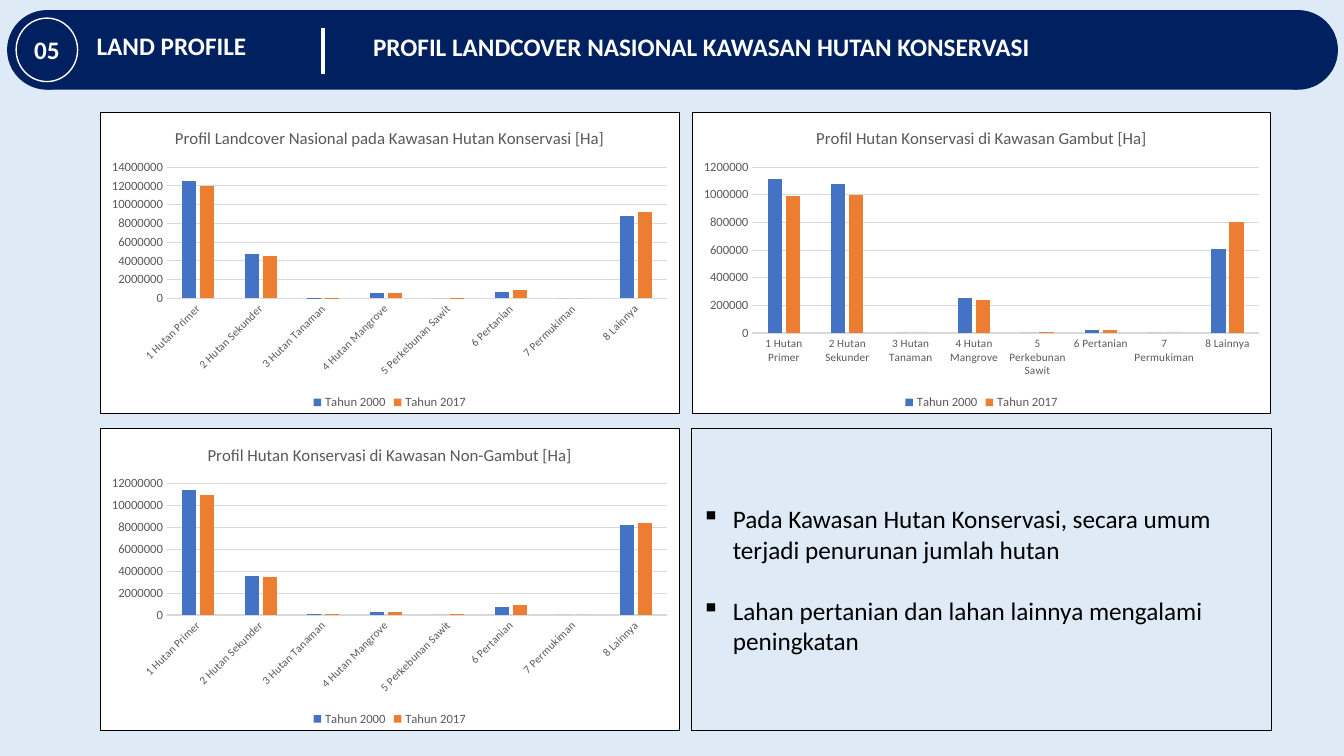
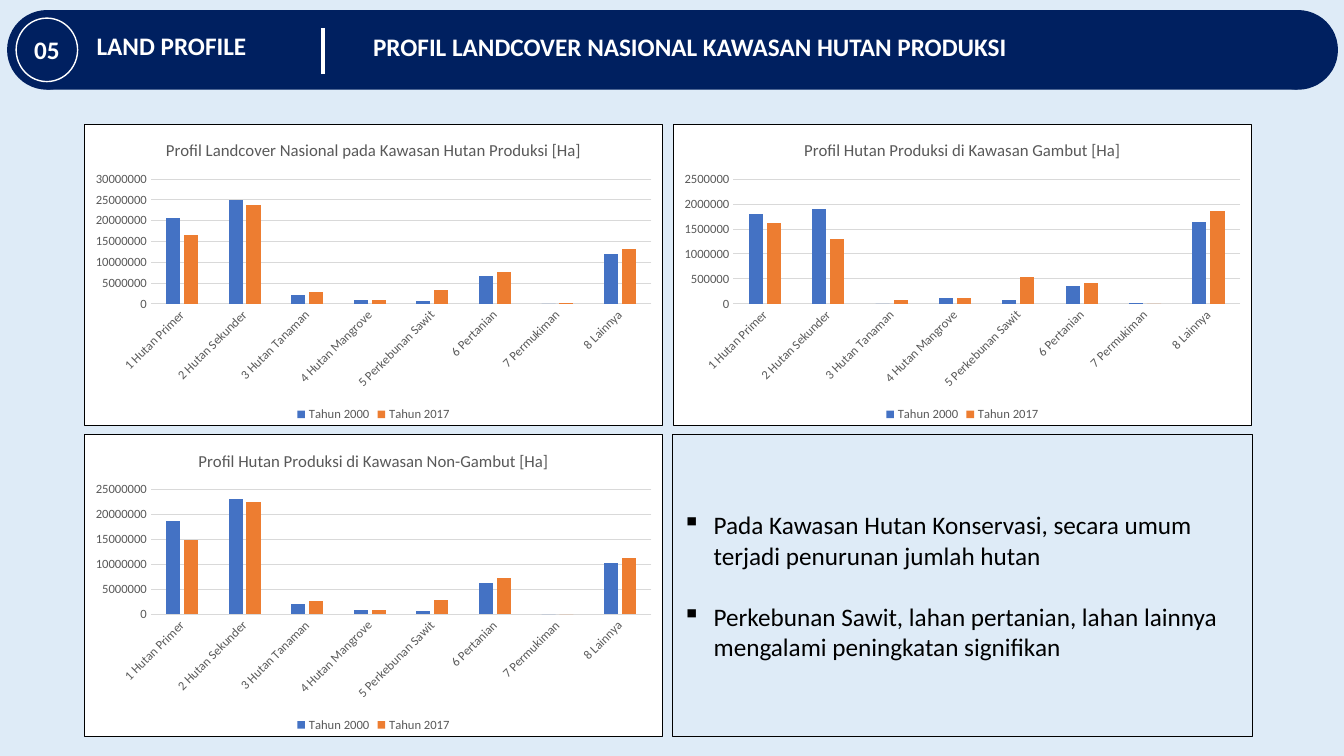
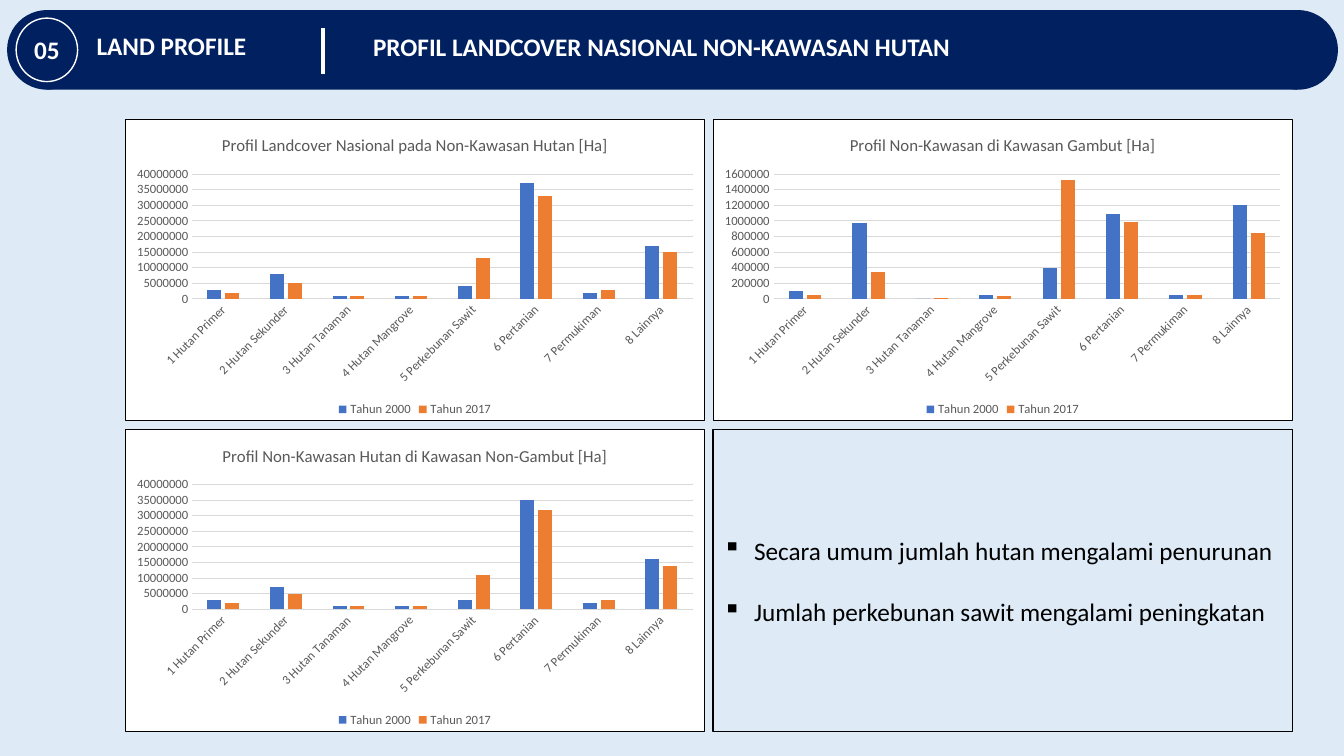
"""Build three land profile slides, each with three column charts and a note."""
from dataclasses import dataclass

from pptx import Presentation, oxml, slide as sl, util as u
from pptx.chart import chart as ch, data
from pptx.dml import color, line as ln
from pptx.enum import chart as kinds, shapes, text
from pptx.oxml import ns
from pptx.text import text as tx

RGB = color.RGBColor.from_string
NAMES = (
    "1 Hutan Primer", "2 Hutan Sekunder", "3 Hutan Tanaman", "4 Hutan Mangrove",
    "5 Perkebunan Sawit", "6 Pertanian", "7 Permukiman", "8 Lainnya",
)
YEARS = ("Tahun 2000", "Tahun 2017")
WIDE, HIGH = 5.75, 3


@dataclass(frozen=True)
class Theme:
    font: str = "Calibri"
    back: str = "DEEBF7"
    navy: str = "002060"
    white: str = "FFFFFF"
    black: str = "000000"
    gray: str = "595959"
    grid: str = "D9D9D9"
    bars: tuple[str, str] = ("4472C4", "ED7D31")
    head: float = 18
    title: float = 12
    base: float = 10
    small: float = 9
    gap: float = 22


@dataclass(frozen=True)
class Plot:
    title: str
    unit: int
    top: int
    step: int
    old: tuple[int, ...]
    new: tuple[int, ...]
    turn: int = -45


@dataclass(frozen=True)
class Page:
    title: str
    wide: float
    left: float
    top: float
    gaps: tuple[float, float]
    size: float
    plots: tuple[Plot, Plot, Plot]
    notes: tuple[str, str]


@dataclass(frozen=True)
class Part:
    kind: shapes.MSO_SHAPE
    box: tuple[float, float, float, float]
    ring: bool = False


T = Theme()
BAND = (
    Part(shapes.MSO_SHAPE.RECTANGLE, (0.46, 0.1, 12.41, 0.79)),
    Part(shapes.MSO_SHAPE.OVAL, (0.07, 0.1, 0.79, 0.79)),
    Part(shapes.MSO_SHAPE.OVAL, (12.48, 0.1, 0.79, 0.79)),
    Part(shapes.MSO_SHAPE.OVAL, (0.16, 0.18, 0.61, 0.63), True),
)
PAGES = (
    Page(
        "PROFIL LANDCOVER NASIONAL KAWASAN HUTAN KONSERVASI", 6.78,
        0.99, 1.11, (0.12, 0.14), 8,
        (
            Plot("Profil Landcover Nasional pada Kawasan Hutan Konservasi [Ha]",
                 100000, 140, 20,
                 (125, 47, 1, 6, 0, 7, 0, 88), (120, 45, 1, 6, 1, 9, 0, 92)),
            Plot("Profil Hutan Konservasi di Kawasan Gambut [Ha]",
                 10000, 120, 20,
                 (111, 108, 0, 25, 0, 2, 0, 61), (99, 100, 0, 24, 1, 2, 0, 80), 0),
            Plot("Profil Hutan Konservasi di Kawasan Non-Gambut [Ha]",
                 100000, 120, 20,
                 (114, 36, 1, 3, 0, 7, 0, 82), (110, 35, 1, 3, 1, 9, 0, 84)),
        ),
        ("Pada Kawasan Hutan Konservasi, secara umum terjadi penurunan jumlah hutan",
         "Lahan pertanian dan lahan lainnya mengalami peningkatan"),
    ),
    Page(
        "PROFIL LANDCOVER NASIONAL KAWASAN HUTAN PRODUKSI", 6.55,
        0.83, 1.23, (0.09, 0.08), 9,
        (
            Plot("Profil Landcover Nasional pada Kawasan Hutan Produksi [Ha]",
                 100000, 300, 50,
                 (206, 250, 21, 10, 7, 66, 0, 120),
                 (165, 238, 28, 9, 34, 77, 1, 131)),
            Plot("Profil Hutan Produksi di Kawasan Gambut [Ha]",
                 10000, 250, 50,
                 (181, 191, 0, 12, 8, 36, 1, 165),
                 (163, 130, 8, 11, 54, 41, 0, 186)),
            Plot("Profil Hutan Produksi di Kawasan Non-Gambut [Ha]",
                 100000, 250, 50,
                 (188, 231, 21, 9, 6, 63, 0, 103),
                 (149, 225, 27, 8, 29, 73, 0, 112)),
        ),
        ("Pada Kawasan Hutan Konservasi, secara umum terjadi penurunan jumlah hutan",
         "Perkebunan Sawit, lahan pertanian, lahan lainnya mengalami "
         "peningkatan signifikan"),
    ),
    Page(
        "PROFIL LANDCOVER NASIONAL NON-KAWASAN HUTAN", 5.98,
        1.24, 1.18, (0.08, 0.08), 9,
        (
            Plot("Profil Landcover Nasional pada Non-Kawasan Hutan [Ha]",
                 1000000, 40, 5,
                 (3, 8, 1, 1, 4, 37, 2, 17), (2, 5, 1, 1, 13, 33, 3, 15)),
            Plot("Profil Non-Kawasan di Kawasan Gambut [Ha]",
                 10000, 160, 20,
                 (10, 97, 0, 5, 39, 109, 5, 120), (5, 35, 1, 4, 152, 98, 5, 84)),
            Plot("Profil Non-Kawasan Hutan di Kawasan Non-Gambut [Ha]",
                 1000000, 40, 5,
                 (3, 7, 1, 1, 3, 35, 2, 16), (2, 5, 1, 1, 11, 32, 3, 14)),
        ),
        ("Secara umum jumlah hutan mengalami penurunan",
         "Jumlah perkebunan sawit mengalami peningkatan"),
    ),
)


def inch(*nums: float) -> list[u.Length]:
    return [u.Inches(num) for num in nums]


def style(font: tx.Font, size: float, hue: str, bold: bool = False) -> None:
    font.name, font.size, font.bold = T.font, u.Pt(size), bold
    font.color.rgb = RGB(hue)


def stroke(line: ln.LineFormat, hue: str, width: float) -> None:
    line.color.rgb = RGB(hue)
    line.width = u.Pt(width)


def write(para: tx._Paragraph, words: str, size: float, hue: str,
          bold: bool = False) -> None:
    run = para.add_run()
    run.text = words
    style(run.font, size, hue, bold)


def band(lay: sl.SlideLayout, page: sl.Slide) -> None:
    for spot, part in enumerate(BAND, 2):
        shape = page.shapes.add_shape(part.kind, *inch(*part.box))
        shape.shadow.inherit = False
        shape.fill.solid()
        shape.fill.fore_color.rgb = RGB(T.navy)
        if part.ring:
            stroke(shape.line, T.white, 1)
        else:
            shape.line.fill.background()
        shape.element.nvSpPr.cNvPr.id = 20 + spot
        lay.shapes.element.insert(spot, shape.element)


def label(page: sl.Slide, words: str, box: tuple[float, ...],
          mid: bool = False) -> None:
    frame = page.shapes.add_textbox(*inch(*box)).text_frame
    frame.word_wrap = mid
    para = frame.paragraphs[0]
    if mid:
        frame.vertical_anchor = text.MSO_ANCHOR.MIDDLE
        para.alignment = text.PP_ALIGN.CENTER
    write(para, words, T.head, T.white, True)


def head(page: sl.Slide, item: Page) -> None:
    title = page.shapes.title
    title.left, title.top, title.width, title.height = inch(3.6, 0.26, item.wide, 0.4)
    frame = title.text_frame
    frame.word_wrap = False
    frame.auto_size = text.MSO_AUTO_SIZE.NONE
    frame.vertical_anchor = text.MSO_ANCHOR.TOP
    frame.paragraphs[0].alignment = text.PP_ALIGN.LEFT
    write(frame.paragraphs[0], item.title, T.head, T.white, True)
    rule = page.shapes.add_connector(
        shapes.MSO_CONNECTOR.STRAIGHT, *inch(3.2, 0.28, 3.2, 0.73))
    stroke(rule.line, T.white, 3)
    rule.element.spPr.append(oxml.parse_xml(f"<a:effectLst {ns.nsdecls('a')}/>"))
    label(page, "05", (0.15, 0.29, 0.63, 0.4), True)
    label(page, "LAND PROFILE", (0.86, 0.25, 1.7, 0.4))


def frame_chart(chart: ch.Chart) -> None:
    props = oxml.parse_xml(
        f"<c:spPr {ns.nsdecls('c', 'a')}>"
        f'<a:solidFill><a:srgbClr val="{T.white}"/></a:solidFill>'
        f'<a:ln w="{u.Pt(0.75)}"><a:solidFill><a:srgbClr val="{T.black}"/>'
        "</a:solidFill></a:ln></c:spPr>")
    chart.element.find(ns.qn("c:chart")).addnext(props)


def axes(chart: ch.Chart, plot: Plot, size: float) -> None:
    cat, val = chart.category_axis, chart.value_axis
    for axis, points in ((cat, size), (val, T.small)):
        axis.major_tick_mark = axis.minor_tick_mark = kinds.XL_TICK_MARK.NONE
        style(axis.tick_labels.font, points, T.gray)
    stroke(cat.format.line, T.grid, 0.75)
    for body in chart.element.xpath("c:chart/c:plotArea/c:catAx/c:txPr/a:bodyPr"):
        body.set("rot", str(plot.turn * 60000))
    val.format.line.fill.background()
    stroke(val.major_gridlines.format.line, T.grid, 0.75)
    val.minimum_scale = 0
    val.maximum_scale = plot.top * plot.unit
    val.major_unit = plot.step * plot.unit
    val.tick_labels.number_format = "0"
    val.tick_labels.number_format_is_linked = False


def draw(page: sl.Slide, plot: Plot, left: float, top: float, size: float) -> None:
    feed = data.CategoryChartData()
    feed.categories = NAMES
    for year, nums in zip(YEARS, (plot.old, plot.new)):
        feed.add_series(year, [num * plot.unit for num in nums])
    chart = page.shapes.add_chart(
        kinds.XL_CHART_TYPE.COLUMN_CLUSTERED, *inch(left, top, WIDE, HIGH), feed).chart
    style(chart.font, T.base, T.black)
    frame_chart(chart)
    chart.has_title = True
    write(chart.chart_title.text_frame.paragraphs[0], plot.title, T.title, T.gray)
    chart.has_legend = True
    chart.legend.position = kinds.XL_LEGEND_POSITION.BOTTOM
    chart.legend.include_in_layout = False
    style(chart.legend.font, T.small, T.gray)
    axes(chart, plot, size)
    bars = chart.plots[0]
    bars.gap_width, bars.overlap, bars.vary_by_categories = 219, -27, False
    for row, hue in zip(bars.series, T.bars):
        row.format.fill.solid()
        row.format.fill.fore_color.rgb = RGB(hue)


def note(page: sl.Slide, lines: tuple[str, ...], left: float, top: float) -> None:
    box = page.shapes.add_shape(
        shapes.MSO_SHAPE.RECTANGLE, *inch(left, top, WIDE, HIGH))
    box.shadow.inherit = False
    box.fill.background()
    stroke(box.line, T.black, 1)
    frame = box.text_frame
    frame.word_wrap = True
    frame.vertical_anchor = text.MSO_ANCHOR.MIDDLE
    for spot, words in enumerate(lines):
        para = frame.add_paragraph() if spot else frame.paragraphs[0]
        para.alignment = text.PP_ALIGN.LEFT
        para.space_before = u.Pt(T.gap if spot else 0)
        write(para, words, T.head, T.black)
        props = para._p.get_or_add_pPr()
        props.set("marL", str(u.Inches(0.31)))
        props.set("indent", str(u.Inches(-0.31)))
        props.append(oxml.parse_xml(f'<a:buChar {ns.nsdecls("a")} char="▪"/>'))


def fill(page: sl.Slide, item: Page) -> None:
    across, down = item.gaps
    spots = [(item.left + col * (WIDE + across), item.top + row * (HIGH + down))
             for row in range(2) for col in range(2)]
    for plot, spot in zip(item.plots, spots):
        draw(page, plot, *spot, item.size)
    note(page, item.notes, *spots[-1])
    head(page, item)


def main() -> None:
    deck = Presentation()
    deck.slide_width, deck.slide_height = inch(13.33, 7.5)
    back = deck.slide_master.background.fill
    back.solid()
    back.fore_color.rgb = RGB(T.back)
    lay = deck.slide_layouts[5]
    pages = [deck.slides.add_slide(lay) for _ in PAGES]
    band(lay, pages[0])
    for page, item in zip(pages, PAGES):
        fill(page, item)
    deck.save("out.pptx")


if __name__ == "__main__":
    main()
